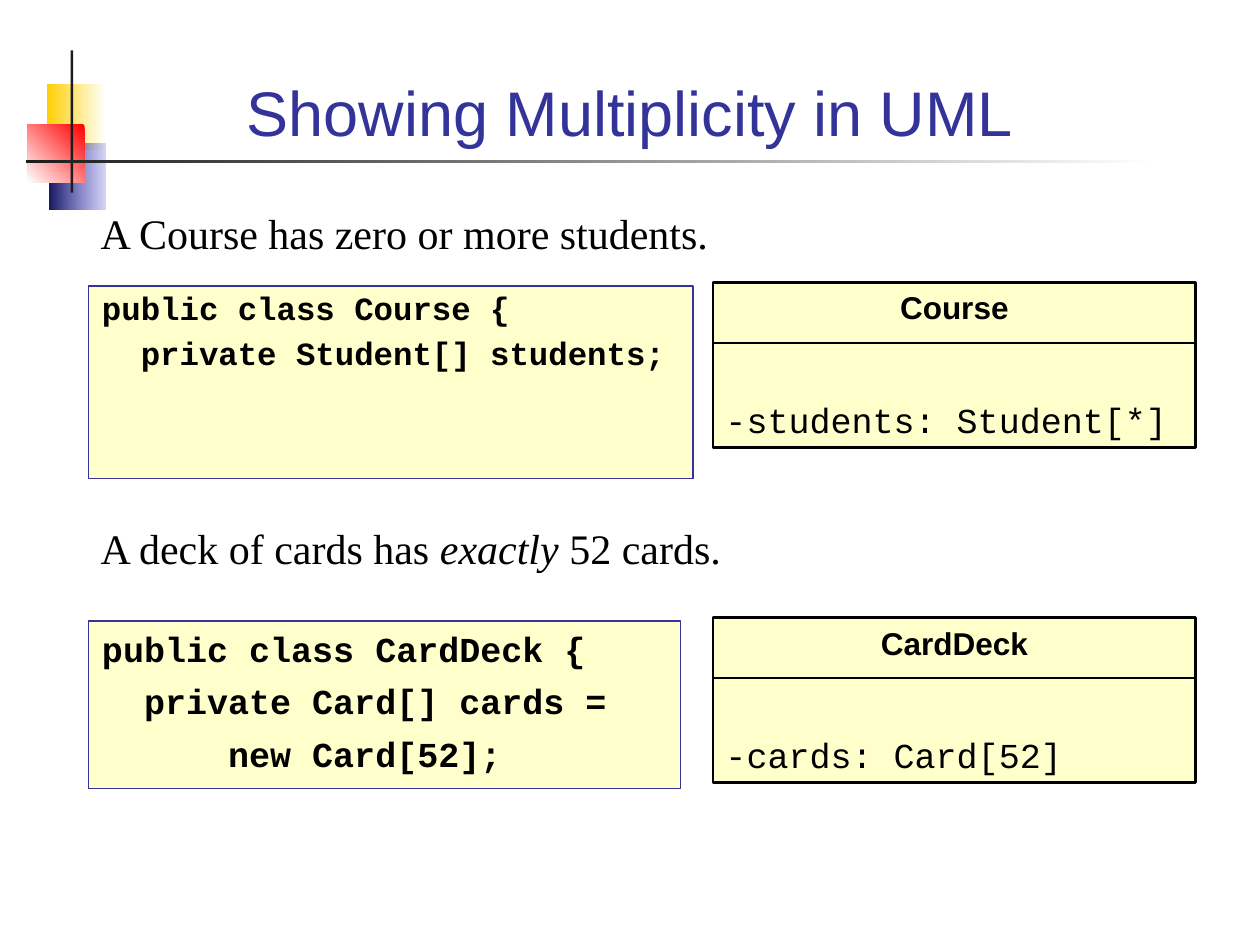
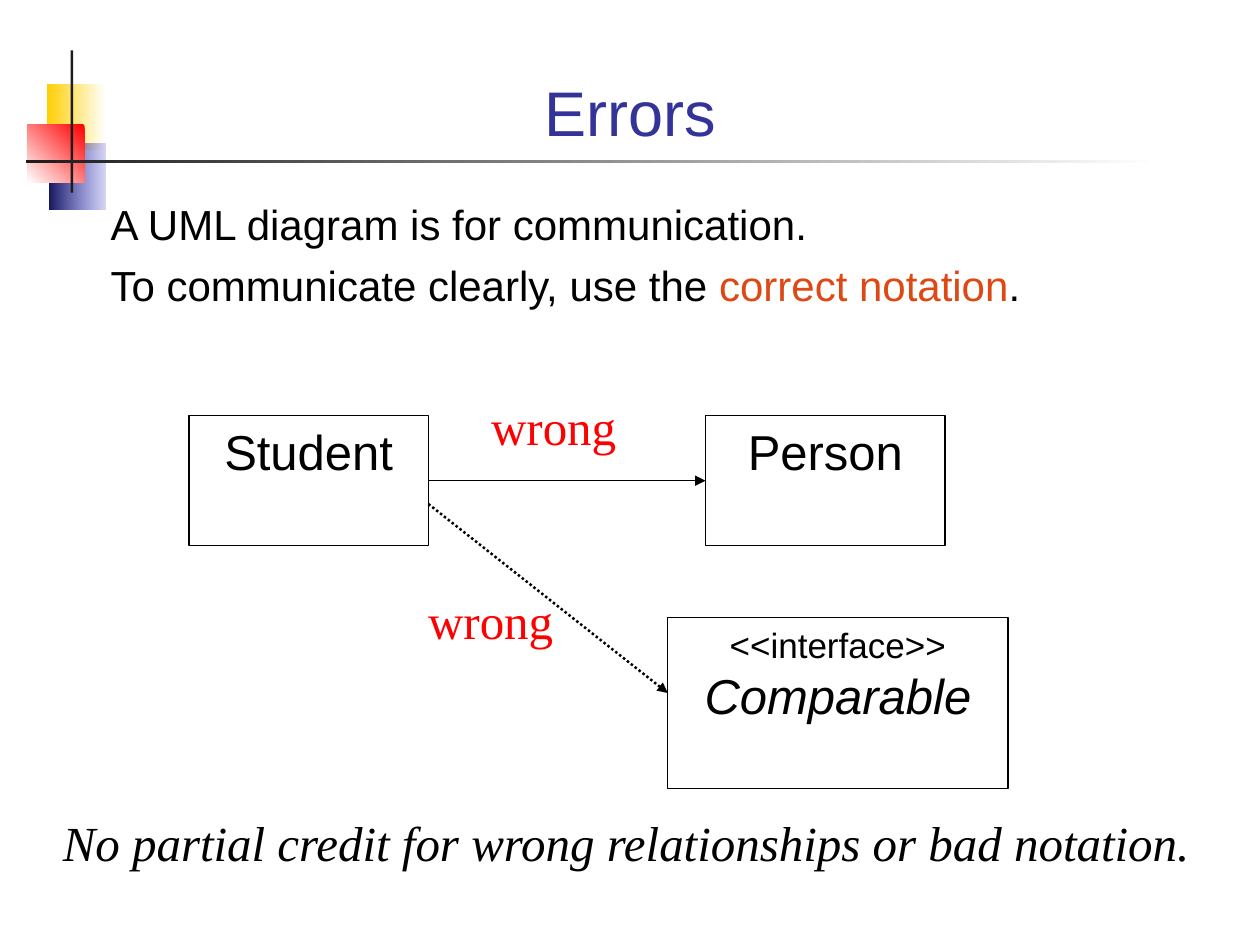
"""Build two slides on UML multiplicity and notation errors."""
from lxml import etree
from pptx import Presentation
from pptx.dml.color import RGBColor
from pptx.enum.dml import MSO_LINE
from pptx.enum.shapes import MSO_CONNECTOR, MSO_SHAPE
from pptx.enum.text import MSO_ANCHOR, PP_ALIGN
from pptx.oxml.ns import qn
from pptx.util import Inches, Pt

COLORS = {
    "title": "333399", "cream": "FFFFCC", "black": "000000", "white": "FFFFFF",
    "gold": "FFCF01", "blue": "3333CC", "navy": "17175E", "red": "FF0000",
    "ink": "1C1C1C", "orange": "DD4814",
}
SANS, SERIF, MONO = "Arial", "Times New Roman", "Courier New"


def tint(name):
    """Return the named colour."""
    return RGBColor.from_string(COLORS[name])


def add_rect(slide, box, fill=None, line=None, width=0.75):
    """Add a flat rectangle with an optional fill and outline."""
    shape = slide.shapes.add_shape(MSO_SHAPE.RECTANGLE, *map(Inches, box))
    shape.shadow.inherit = False
    if fill:
        shape.fill.solid()
        shape.fill.fore_color.rgb = tint(fill)
    else:
        shape.fill.background()
    if line:
        shape.line.color.rgb = tint(line)
        shape.line.width = Pt(width)
    else:
        shape.line.fill.background()
    return shape


def add_fade(slide, box, start, end, angle=180, alpha=None):
    """Add a rectangle that fades from one colour to another."""
    shape = add_rect(slide, box)
    shape.fill.gradient()
    shape.fill.gradient_angle = angle
    for stop, name, place in zip(shape.fill.gradient_stops, (start, end), (0, 1)):
        stop.color.rgb = tint(name)
        stop.position = place
    if alpha:
        first = next(shape.element.spPr.iter(qn("a:srgbClr")))
        etree.SubElement(first, qn("a:alpha")).set("val", str(alpha * 1000))


def style(par, size, face, color="black", bold=False, italic=False):
    """Format every run of a paragraph."""
    for run in par.runs:
        font = run.font
        font.size, font.name = Pt(size), face
        font.bold, font.italic = bold, italic
        font.color.rgb = tint(color)


def write(shape, lines, size, face, align=PP_ALIGN.LEFT, gap=0, left=0.1, **look):
    """Fill a shape with lines, each a string or a list of runs."""
    frame = shape.text_frame
    frame.word_wrap = True
    frame.vertical_anchor = MSO_ANCHOR.TOP
    frame.margin_left, frame.margin_right = Inches(left), Inches(0.1)
    frame.margin_top = frame.margin_bottom = Inches(0.05)
    for index, line in enumerate(lines):
        par = frame.add_paragraph() if index else frame.paragraphs[0]
        if isinstance(line, str):
            par.text = line
        else:
            for part in line:
                par.add_run().text = part
        par.alignment = align
        if index:
            par.space_before = Pt(gap)
        style(par, size, face, **look)
    return frame


def add_text(slide, box, lines, size, face, **look):
    """Add a text box and return its text frame."""
    shape = slide.shapes.add_textbox(*map(Inches, box))
    return write(shape, lines, size, face, **look)


def add_line(slide, start, end, width=0.75, arrow=False):
    """Add a straight black line, with an arrowhead if asked."""
    line = slide.shapes.add_connector(MSO_CONNECTOR.STRAIGHT, *map(Inches, start + end))
    line.line.color.rgb = tint("black")
    line.line.width = Pt(width)
    if arrow:
        etree.SubElement(line.line._get_or_add_ln(), qn("a:tailEnd")).set("type", "triangle")
    etree.SubElement(line._element.spPr, qn("a:effectLst"))
    return line


def add_slide(deck, title):
    """Add a slide with the corner blocks, rules and title."""
    slide = deck.slides.add_slide(deck.slide_layouts[6])
    add_fade(slide, (0.37, 0.67, 0.47, 0.52), "white", "gold")
    add_fade(slide, (0.39, 1.14, 0.45, 0.52), "blue", "navy", alpha=20)
    add_fade(slide, (0.22, 0.99, 0.45, 0.46), "red", "white", angle=225)
    add_rect(slide, (0.56, 0.4, 0.02, 1.13), "ink")
    add_fade(slide, (0.21, 1.27, 8.98, 0.02), "white", "ink")
    frame = add_text(slide, (0.67, 0.28, 8.66, 0.95), [title], 36, SANS,
                     align=PP_ALIGN.CENTER, color="title")
    frame.vertical_anchor = MSO_ANCHOR.BOTTOM
    return slide


def add_code(slide, box, lines, size, pitch=1.0):
    """Add a cream box of bold code."""
    shape = add_rect(slide, box, "cream", "title")
    frame = write(shape, lines, size, MONO, gap=6, left=0.11, bold=True)
    for par in frame.paragraphs:
        par.line_spacing = pitch


def add_class(slide, top, name, field):
    """Add a UML class box with a name and one field."""
    left, width = 5.66, 3.83
    shape = add_rect(slide, (left, top, width, 1.31), "cream", "black", 1.5)
    frame = write(shape, [name, field], 20, MONO, gap=41)
    head = frame.paragraphs[0]
    head.alignment = PP_ALIGN.CENTER
    style(head, 18, SANS, bold=True)
    add_line(slide, (left, top + 0.48), (left + width, top + 0.48), 1)


def add_node(slide, box, lines):
    """Add a plain outlined box with centred text."""
    shape = add_rect(slide, box, line="black")
    write(shape, lines, 28, SANS, align=PP_ALIGN.CENTER)
    return shape


def show_counts(deck):
    """Build the slide on multiplicity."""
    slide = add_slide(deck, "Showing Multiplicity in UML")
    add_code(slide, (0.7, 2.27, 4.8, 1.53),
             ["public class Course {", "  private Student[] students;"], 18.5, 0.9)
    add_class(slide, 2.24, "Course", "-students: Student[*]")
    add_code(slide, (0.7, 4.93, 4.7, 1.33),
             ["public class CardDeck {", "  private Card[] cards =", "      new Card[52];"], 20)
    add_class(slide, 4.9, "CardDeck", "-cards: Card[52]")
    add_text(slide, (0.7, 1.6, 8.8, 0.5), ["A Course has zero or more students."], 24, SERIF)
    frame = add_text(slide, (0.7, 4.1, 8.8, 0.5),
                     [["A deck of cards has ", "exactly", " 52 cards."]], 24, SERIF)
    frame.paragraphs[0].runs[1].font.italic = True


def show_errors(deck):
    """Build the slide on wrong notation."""
    slide = add_slide(deck, "Errors")
    frame = add_text(slide, (0.78, 1.53, 8.66, 1.08),
                     ["A UML diagram is for communication.",
                      ["To communicate clearly, use the ", "correct notation", "."]],
                     24, SANS, gap=6)
    frame.paragraphs[1].runs[1].font.color.rgb = tint("orange")
    student = add_node(slide, (1.5, 3.3, 1.9, 1.03), ["Student"])
    person = add_node(slide, (5.6, 3.3, 1.9, 1.03), ["Person"])
    link = add_line(slide, (3.4, 3.81), (5.6, 3.81), arrow=True)
    link.begin_connect(student, 3)
    link.end_connect(person, 1)
    kind = add_node(slide, (5.3, 4.9, 2.7, 1.36), ["<<interface>>", "Comparable"])
    label, name = kind.text_frame.paragraphs
    style(label, 20, SANS)
    style(name, 28, SANS, italic=True)
    dots = add_line(slide, (3.4, 4), (5.3, 5.5), 1.42, arrow=True)
    dots.line.dash_style = MSO_LINE.ROUND_DOT
    for left, top in ((3.8, 3.1), (3.3, 4.64)):
        add_text(slide, (left, top, 1.2, 0.57), ["wrong"], 28, SERIF, color="red")
    add_text(slide, (0.4, 6.4, 9.2, 0.57),
             ["No partial credit for wrong relationships or bad notation."],
             28, SERIF, italic=True)


def main():
    """Build and save the deck."""
    deck = Presentation()
    deck.slide_width, deck.slide_height = Inches(10), Inches(7.5)
    show_counts(deck)
    show_errors(deck)
    deck.save("out.pptx")


if __name__ == "__main__":
    main()
